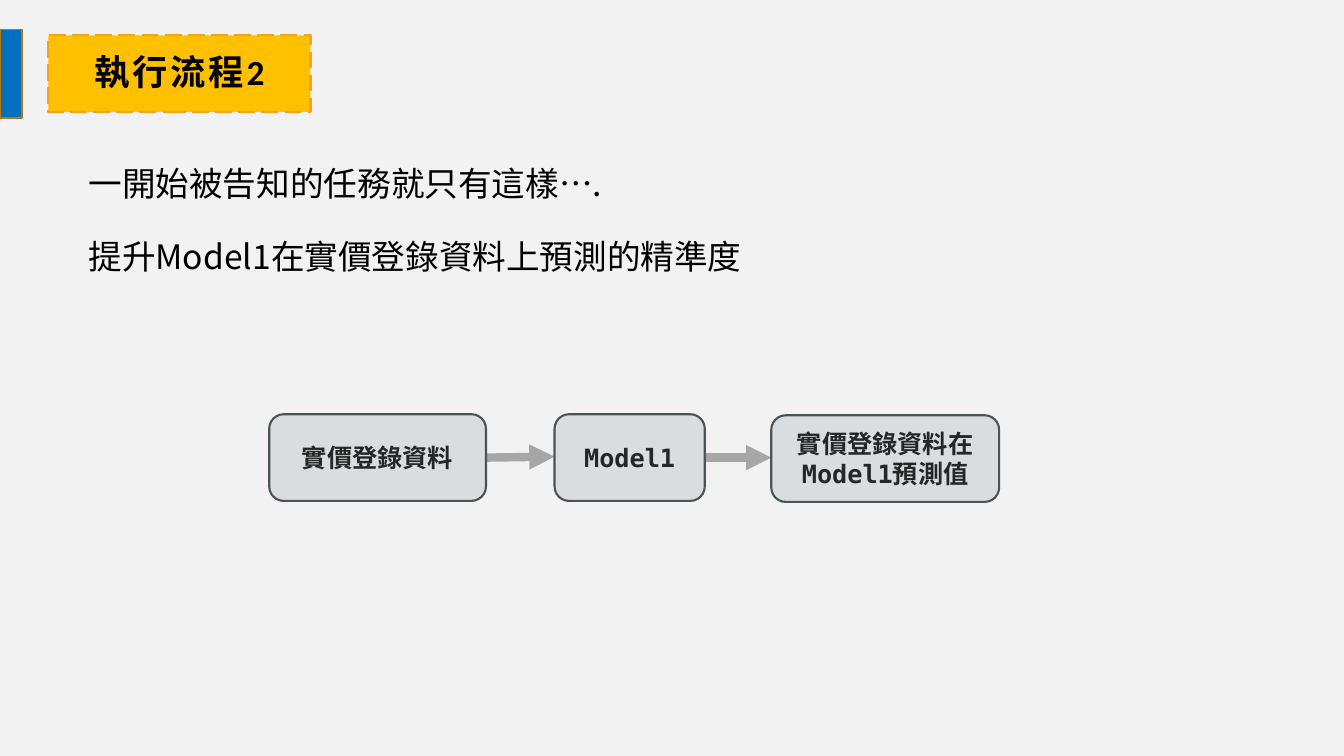
from lxml.etree import SubElement
from pptx import Presentation
from pptx.dml.color import RGBColor
from pptx.enum.dml import MSO_LINE
from pptx.enum.shapes import MSO_CONNECTOR, MSO_SHAPE
from pptx.enum.text import MSO_ANCHOR, MSO_AUTO_SIZE, PP_ALIGN
from pptx.oxml.ns import qn
from pptx.util import Inches, Pt

COLORS = {
    "background": "F2F2F2", "bar": "0070C0", "bar_line": "B67815",
    "title": "FFC000", "title_line": "F6A21D", "black": "000000",
    "box": "D9DDDF", "box_line": "4A5356", "box_text": "262626",
    "arrow": "A6A6A6",
}
CJK_FONT = "Noto Sans CJK SC"
TITLE_FORMAT = {"name": "Calibri", "size": Pt(25.2), "bold": True}
BODY_FORMAT = {"name": CJK_FONT, "size": Pt(24), "bold": False}
BOX_FORMAT = {"name": "DejaVu Sans Mono", "size": Pt(18), "bold": True}


def paint(shape, fill, line, width):
    shape.fill.solid()
    shape.fill.fore_color.rgb = RGBColor.from_string(COLORS[fill])
    shape.line.color.rgb = RGBColor.from_string(COLORS[line])
    shape.line.width = Pt(width)


def write(paragraph, text, font_format, color, align):
    paragraph.alignment = align
    run = paragraph.add_run()
    run.text = text
    for name, value in font_format.items():
        setattr(run.font, name, value)
    run.font.color.rgb = RGBColor.from_string(COLORS[color])
    SubElement(run.font._element, qn("a:ea"), typeface=CJK_FONT)
    return run


presentation = Presentation()
presentation.slide_width = Inches(13.33)
presentation.slide_height = Inches(7.5)
slide = presentation.slides.add_slide(presentation.slide_layouts[5])
slide.background.fill.solid()
slide.background.fill.fore_color.rgb = RGBColor.from_string(COLORS["background"])

# Blue bar at the left edge
bar = slide.shapes.add_shape(
    MSO_SHAPE.RECTANGLE, 0, Inches(0.29), Inches(0.22), Inches(0.88))
bar.shadow.inherit = False
paint(bar, "bar", "bar_line", 1)

# Title with dashed border
title = slide.shapes.title
title.left, title.top = Inches(0.48), Inches(0.35)
title.width, title.height = Inches(2.6), Inches(0.76)
paint(title, "title", "title_line", 1.5)
title.line.dash_style = MSO_LINE.LONG_DASH
frame = title.text_frame
frame.auto_size = MSO_AUTO_SIZE.NONE
frame.vertical_anchor = MSO_ANCHOR.MIDDLE
for side in ("left", "top", "right", "bottom"):
    setattr(frame, f"margin_{side}", Inches(0.2))
frame.paragraphs[0].line_spacing = 0.9
title_run = write(frame.paragraphs[0], "執行流程2", TITLE_FORMAT, "black", PP_ALIGN.CENTER)
title_run.font._element.set("spc", "200")

# Task description
task = slide.shapes.add_textbox(
    Inches(0.78), Inches(1.57), Inches(11.53), Inches(1.31))
frame = task.text_frame
frame.word_wrap = True
write(frame.paragraphs[0], "一開始被告知的任務就只有這樣….", BODY_FORMAT, "black", PP_ALIGN.LEFT)
goal = frame.add_paragraph()
goal.space_before = Pt(23)
write(goal, "提升Model1在實價登錄資料上預測的精準度", BODY_FORMAT, "black", PP_ALIGN.LEFT)

# Arrows between the steps: start x, start y, end x, end y
for points in [(4.82, 4.54, 5.5, 4.53), (6.97, 4.54, 7.65, 4.54)]:
    arrow = slide.shapes.add_connector(
        MSO_CONNECTOR.STRAIGHT, *[Inches(point) for point in points])
    arrow.line.color.rgb = RGBColor.from_string(COLORS["arrow"])
    arrow.line.width = Pt(6)
    SubElement(arrow.line._get_or_add_ln(), qn("a:tailEnd"), type="triangle")
    SubElement(arrow._element.spPr, qn("a:effectLst"))

# Flow steps: text, left, top, width
steps = [
    ("實價登錄資料", 2.67, 4.11, 2.15),
    ("Model1", 5.5, 4.11, 1.49),
    ("實價登錄資料在Model1預測值", 7.65, 4.12, 2.26),
]
for text, left, top, width in steps:
    box = slide.shapes.add_shape(
        MSO_SHAPE.ROUNDED_RECTANGLE,
        Inches(left), Inches(top), Inches(width), Inches(0.86))
    box.shadow.inherit = False
    paint(box, "box", "box_line", 1.5)
    box.text_frame.word_wrap = True
    box.text_frame.vertical_anchor = MSO_ANCHOR.MIDDLE
    write(box.text_frame.paragraphs[0], text, BOX_FORMAT, "box_text", PP_ALIGN.CENTER)

presentation.save("out.pptx")
